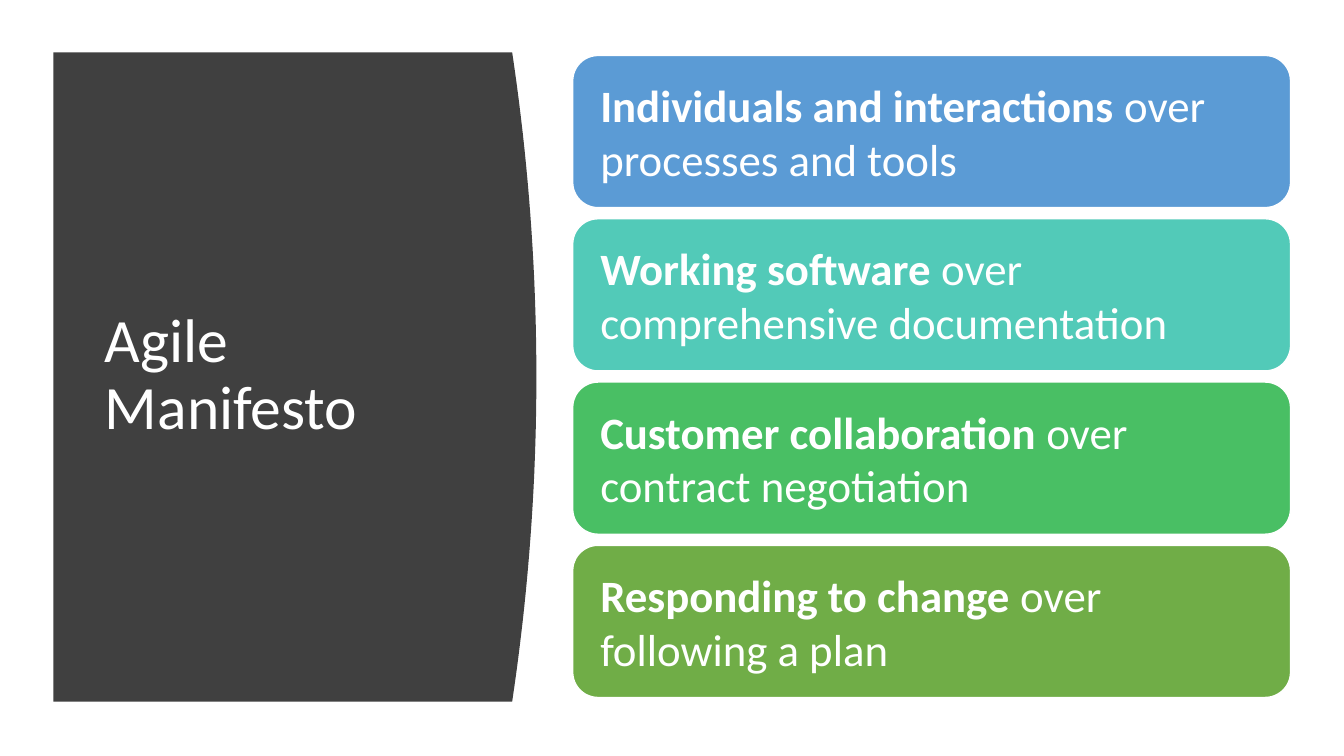
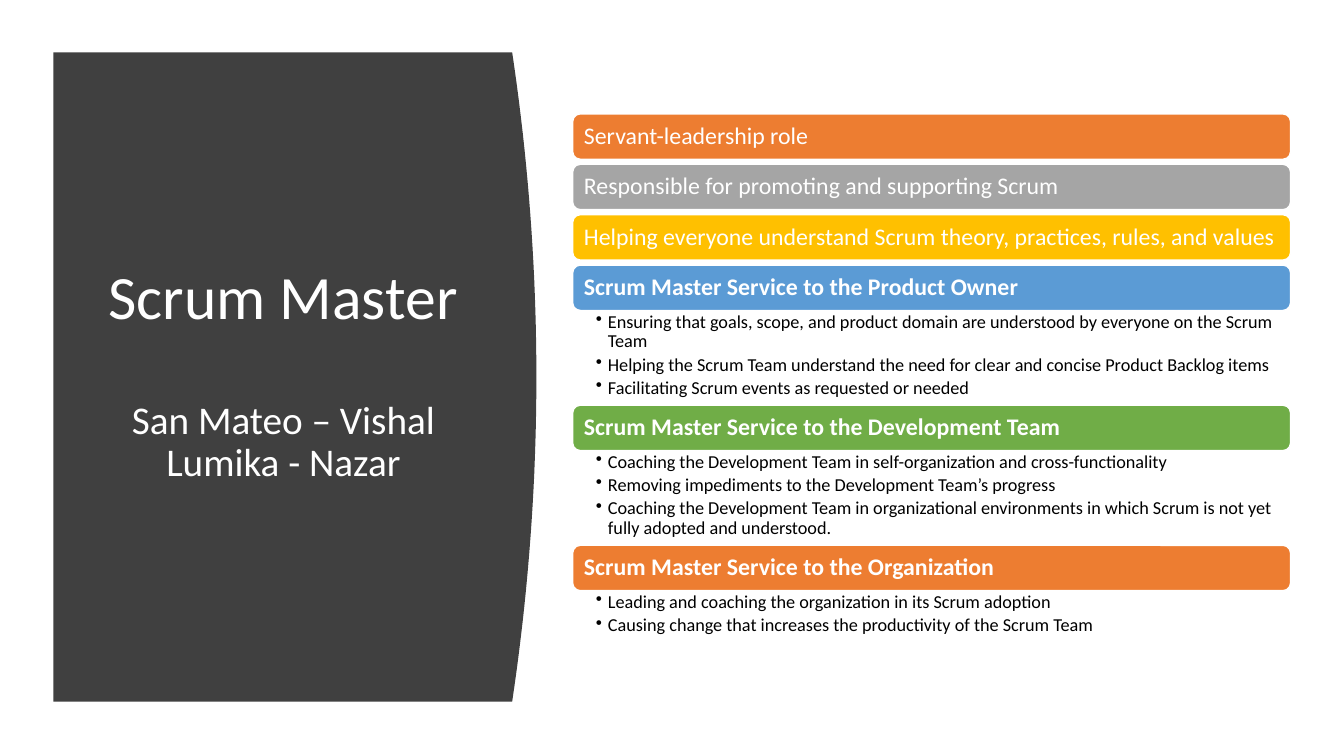
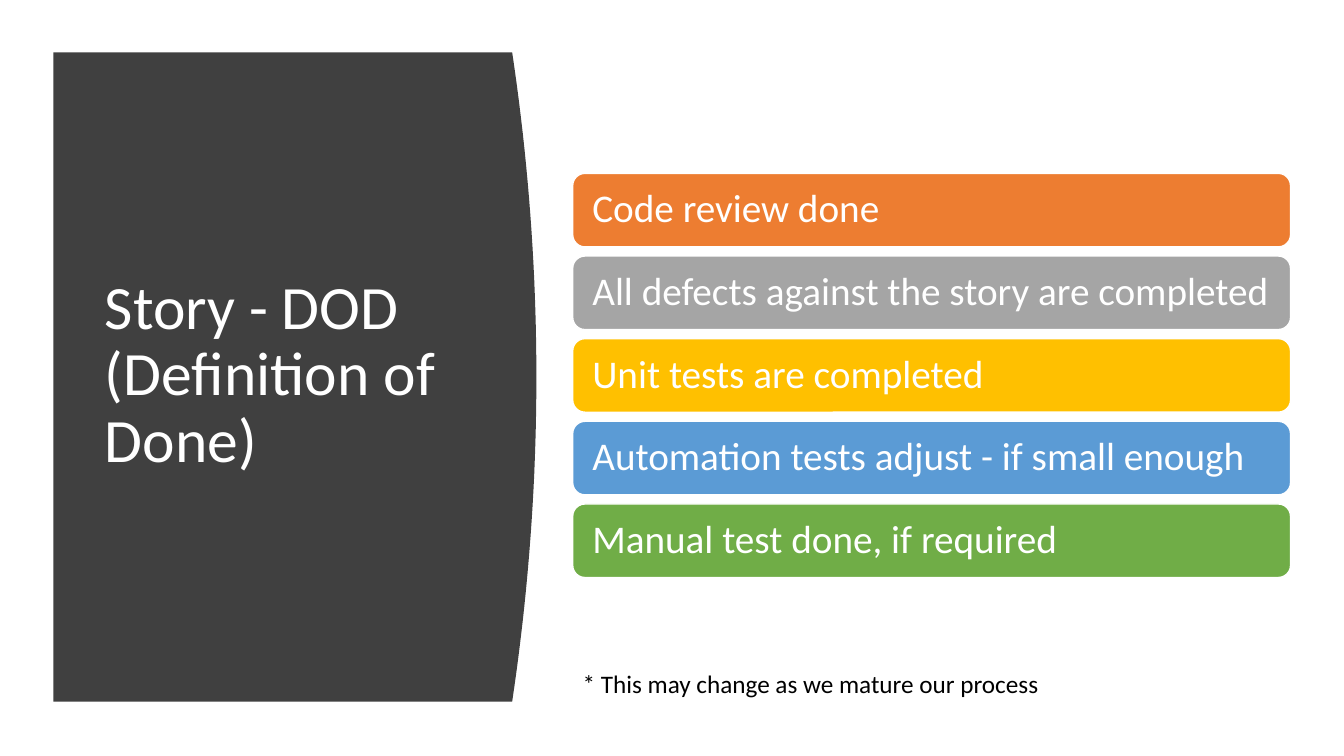
from lxml import etree
from pptx import Presentation
from pptx.dml.color import RGBColor
from pptx.enum.shapes import MSO_SHAPE
from pptx.enum.text import MSO_ANCHOR, MSO_AUTO_SIZE, PP_ALIGN
from pptx.oxml.ns import qn
from pptx.util import Inches, Pt

ROUNDED = MSO_SHAPE.ROUNDED_RECTANGLE
MIDDLE, TOP = MSO_ANCHOR.MIDDLE, MSO_ANCHOR.TOP
LEFT, CENTER = PP_ALIGN.LEFT, PP_ALIGN.CENTER
NO_FIT = MSO_AUTO_SIZE.NONE

WHITE, BLACK, DARK = "FFFFFF", "000000", "404040"
ORANGE, GRAY, GOLD = "ED7D31", "A5A5A5", "FFC000"
BLUE, TEAL, MINT, GREEN = "5B9BD5", "52CAB8", "49BF64", "70AD47"

FONT = "Calibri"
BAR_LEFT, BAR_WIDTH = 5.68, 7.12
LIST_HEIGHTS = {2: 0.49, 3: 0.94}
PANEL_LEFT, PANEL_TOP, PANEL_BOTTOM = 0.53, 0.52, 6.96
PANEL_EDGE, PANEL_BULGE, CURVE_STEPS = 5.08, 0.24, 40

SLIDES = [
    {
        "title": [("Agile Manifesto", 44, 0)], "align": LEFT,
        "top": 0.55, "height": 1.51, "gap": 0.11, "inset": 0.2, "size": 32, "spacing": 1.0,
        "bars": [
            (BLUE, "Individuals and interactions", " over processes and tools", []),
            (TEAL, "Working software", " over comprehensive documentation", []),
            (MINT, "Customer collaboration", " over contract negotiation", []),
            (GREEN, "Responding to change", " over following a plan", []),
        ],
    },
    {
        "title": [("Scrum Master", 44, 0), ("San Mateo – Vishal", 28, 48), ("Lumika - Nazar", 28, 0)],
        "align": CENTER,
        "top": 1.13, "height": 0.45, "gap": 0.05, "inset": 0.09, "size": 17, "spacing": 0.9,
        "bars": [
            (ORANGE, "", "Servant-leadership role", []),
            (GRAY, "", "Responsible for promoting and supporting Scrum", []),
            (GOLD, "", "Helping everyone understand Scrum theory, practices, rules, and values", []),
            (BLUE, "Scrum Master Service to the Product Owner", "", [
                "Ensuring that goals, scope, and product domain are understood by everyone on the Scrum Team",
                "Helping the Scrum Team understand the need for clear and concise Product Backlog items",
                "Facilitating Scrum events as requested or needed",
            ]),
            (GREEN, "Scrum Master Service to the Development Team", "", [
                "Coaching the Development Team in self-organization and cross-functionality",
                "Removing impediments to the Development Team’s progress",
                "Coaching the Development Team in organizational environments in which Scrum is not yet "
                "fully adopted and understood.",
            ]),
            (ORANGE, "Scrum Master Service to the Organization", "", [
                "Leading and coaching the organization in its Scrum adoption",
                "Causing change that increases the productivity of the Scrum Team",
            ]),
        ],
    },
    {
        "title": [("Story - DOD (Definition of Done)", 44, 0)], "align": LEFT,
        "top": 1.72, "height": 0.73, "gap": 0.09, "inset": 0.16, "size": 28, "spacing": 0.9,
        "bars": [
            (ORANGE, "", "Code review done", []),
            (GRAY, "", "All defects against the story are completed", []),
            (GOLD, "", "Unit tests are completed", []),
            (BLUE, "", "Automation tests adjust - if small enough", []),
            (GREEN, "", "Manual test done, if required", []),
        ],
    },
]


def rgb(value):
    return RGBColor.from_string(value)


def add_run(p, text, size, color, bold=False):
    r = p.add_run()
    r.text = text
    for name, value in {"name": FONT, "size": Pt(size), "bold": bold}.items():
        setattr(r.font, name, value)
    r.font.color.rgb = rgb(color)


prs = Presentation()
prs.slide_width, prs.slide_height = Inches(13.33), Inches(7.5)
title_only = prs.slide_layouts[5]

curve = []
for step in range(CURVE_STEPS + 1):
    t = step / CURVE_STEPS
    x = PANEL_EDGE + PANEL_BULGE * (1 - (2 * t - 1) ** 2)
    y = PANEL_TOP + (PANEL_BOTTOM - PANEL_TOP) * t
    curve.append((Inches(x), Inches(y)))

for data in SLIDES:
    s = prs.slides.add_slide(title_only)

    builder = s.shapes.build_freeform(Inches(PANEL_LEFT), Inches(PANEL_TOP))
    builder.add_line_segments(curve + [(Inches(PANEL_LEFT), Inches(PANEL_BOTTOM))], close=True)
    panel = builder.convert_to_shape()
    panel.shadow.inherit = False
    panel.fill.solid()
    panel.fill.fore_color.rgb = rgb(DARK)
    panel.line.fill.background()

    title = s.shapes.title
    title._element.addprevious(panel._element)
    for name, value in {"left": 0.94, "top": 1.11, "width": 3.74, "height": 5.24}.items():
        setattr(title, name, Inches(value))
    tf = title.text_frame
    for name, value in {"auto_size": NO_FIT, "word_wrap": True, "vertical_anchor": MIDDLE}.items():
        setattr(tf, name, value)
    for i, (text, size, before) in enumerate(data["title"]):
        p = tf.add_paragraph() if i else tf.paragraphs[0]
        fmt = {"alignment": data["align"], "line_spacing": 0.9, "space_before": Pt(before)}
        for name, value in fmt.items():
            setattr(p, name, value)
        add_run(p, text, size, WHITE)

    y = data["top"]
    for color, strong, plain, bullets in data["bars"]:
        sp = s.shapes.add_shape(
            ROUNDED, Inches(BAR_LEFT), Inches(y), Inches(BAR_WIDTH), Inches(data["height"]))
        sp.shadow.inherit = False
        sp.fill.solid()
        sp.fill.fore_color.rgb = rgb(color)
        sp.line.color.rgb = rgb(WHITE)
        sp.line.width = Pt(1)
        tf = sp.text_frame
        inset = Inches(data["inset"])
        fmt = {"word_wrap": True, "vertical_anchor": MIDDLE, "margin_left": inset,
               "margin_right": inset, "margin_top": 0, "margin_bottom": 0}
        for name, value in fmt.items():
            setattr(tf, name, value)
        p = tf.paragraphs[0]
        p.alignment, p.line_spacing = LEFT, data["spacing"]
        for text, bold in ((strong, True), (plain, False)):
            if text:
                add_run(p, text, data["size"], WHITE, bold)
        y += data["height"]

        if not bullets:
            y += data["gap"]
            continue

        height = LIST_HEIGHTS[len(bullets)]
        box = s.shapes.add_textbox(Inches(BAR_LEFT), Inches(y), Inches(BAR_WIDTH), Inches(height))
        tf = box.text_frame
        fmt = {"word_wrap": True, "vertical_anchor": TOP, "margin_left": Inches(0.23),
               "margin_right": Inches(0.13), "margin_top": Inches(0.02),
               "margin_bottom": Inches(0.02)}
        for name, value in fmt.items():
            setattr(tf, name, value)
        for i, text in enumerate(bullets):
            p = tf.add_paragraph() if i else tf.paragraphs[0]
            p.line_spacing, p.space_after = 0.9, Pt(2.6)
            pPr = p._p.get_or_add_pPr()
            pPr.set("marL", str(Inches(0.12)))
            pPr.set("indent", str(-Inches(0.12)))
            etree.SubElement(pPr, qn("a:buChar")).set("char", "•")
            add_run(p, text, 13, BLACK)
        y += height

note = s.shapes.add_textbox(Inches(BAR_LEFT), Inches(6.58), Inches(4.78), Inches(0.4))
note.text_frame.word_wrap = False
add_run(note.text_frame.paragraphs[0], "* This may change as we mature our process", 18, BLACK)

prs.save("out.pptx")
